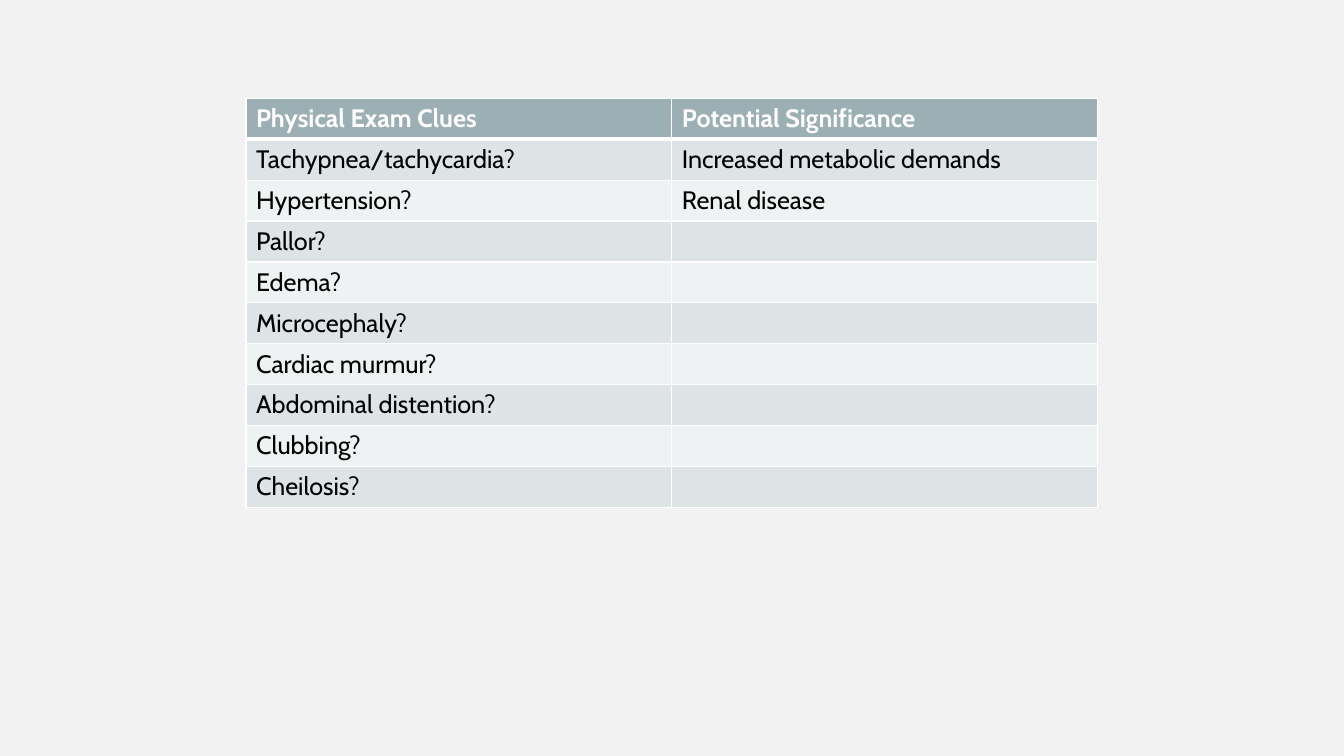
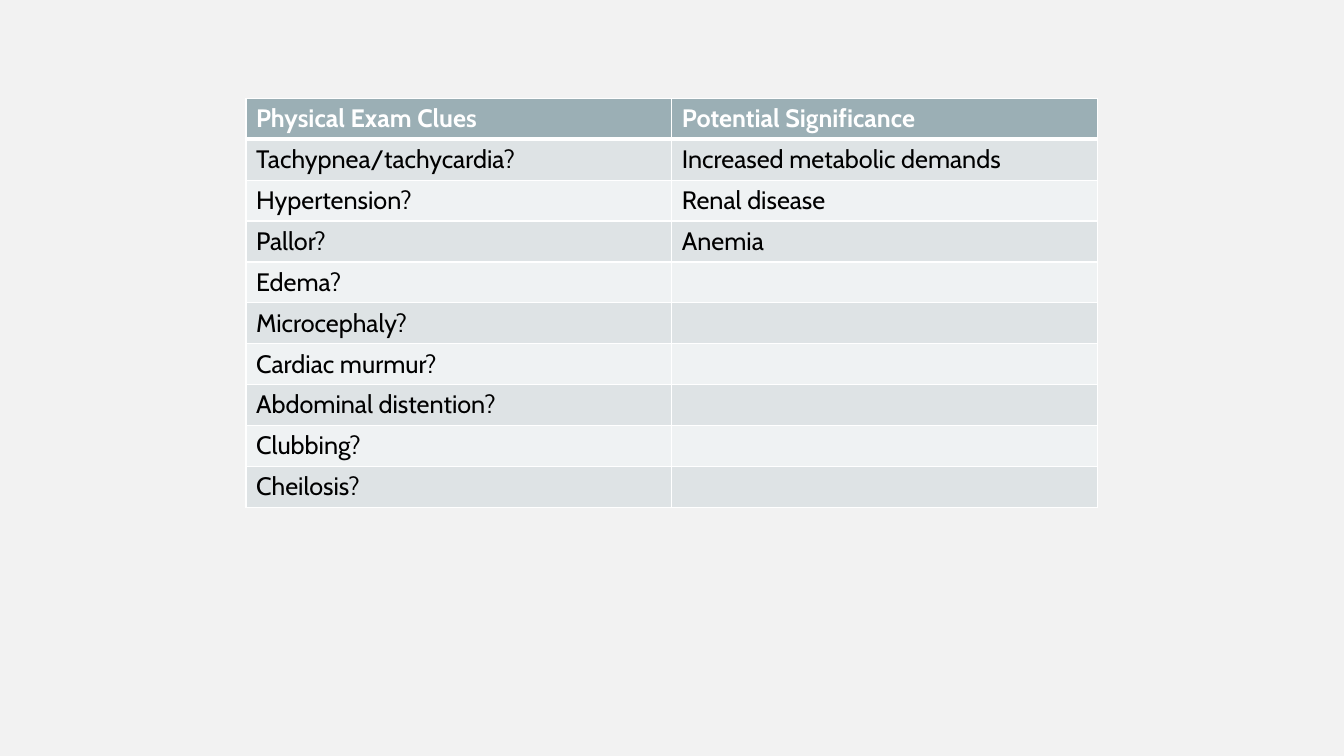
from dataclasses import dataclass

from lxml.etree import SubElement as Sub
from pptx import Presentation as Deck
from pptx.dml.color import RGBColor as Rgb
from pptx.oxml.ns import qn
from pptx.slide import Slide
from pptx.table import _Cell as Cell
from pptx.util import Cm, Pt

WHITE = Rgb(0xFF, 0xFF, 0xFF)
BLACK = Rgb(0x00, 0x00, 0x00)
PAPER = Rgb(0xF2, 0xF2, 0xF2)
SLATE = Rgb(0x9B, 0xAF, 0xB5)
MIST = Rgb(0xDE, 0xE3, 0xE5)
PALE = Rgb(0xEF, 0xF2, 0xF3)

LEFT, TOP = Cm(6.2), Cm(2.48)
WIDE, HIGH = Cm(10.73), Cm(1.03)
THIN, THICK = Pt(1), Pt(3)
BASE = {"name": "Cabin", "size": Pt(18)}


@dataclass(frozen=True)
class Look:
    fill: Rgb
    font: dict
    top: int = THIN
    base: int = THIN


@dataclass(frozen=True)
class Clue:
    sign: str
    cause: str = ""


BODY = {**BASE, "bold": False}
HEAD = Look(SLATE, {**BASE, "bold": True}, base=THICK)
FIRST = Look(MIST, BODY, top=THICK)
ODD = Look(MIST, BODY)
EVEN = Look(PALE, BODY)

TITLE = Clue("Physical Exam Clues", "Potential Significance")
CLUES = [
    Clue("Tachypnea/tachycardia?", "Increased metabolic demands"),
    Clue("Hypertension?", "Renal disease"),
    Clue("Pallor?", "Anemia"),
    Clue("Edema?"),
    Clue("Microcephaly?"),
    Clue("Cardiac murmur?"),
    Clue("Abdominal distention?"),
    Clue("Clubbing?"),
    Clue("Cheilosis?"),
]
SHOWN = (2, 3)


def pick(row: int) -> Look:
    if row < 2:
        return (HEAD, FIRST)[row]
    return ODD if row % 2 else EVEN


def edge(cell: Cell, look: Look) -> None:
    props = cell._tc.get_or_add_tcPr()
    sides = {"lnL": THIN, "lnR": THIN, "lnT": look.top, "lnB": look.base}
    for side, width in sides.items():
        line = Sub(props, qn(f"a:{side}"), w=str(int(width)))
        fill = Sub(line, qn("a:solidFill"))
        Sub(fill, qn("a:srgbClr"), val=str(WHITE))


def paint(cell: Cell, text: str, look: Look) -> None:
    edge(cell, look)
    cell.fill.solid()
    cell.fill.fore_color.rgb = look.fill
    if not text:
        return
    run = cell.text_frame.paragraphs[0].add_run()
    run.text = text
    for key, value in look.font.items():
        setattr(run.font, key, value)
    run.font.color.rgb = WHITE if look is HEAD else BLACK


def draw(slide: Slide, shown: int) -> None:
    rows = [TITLE, *CLUES]
    frame = slide.shapes.add_table(
        len(rows), 2, LEFT, TOP, 2 * WIDE, len(rows) * HIGH
    )
    grid = frame.table
    for col in grid.columns:
        col.width = WIDE
    for row, clue in enumerate(rows):
        grid.rows[row].height = HIGH
        cause = clue.cause if row <= shown else ""
        for col, text in enumerate((clue.sign, cause)):
            paint(grid.cell(row, col), text, pick(row))


def main() -> None:
    deck = Deck()
    deck.slide_width, deck.slide_height = Cm(33.87), Cm(19.05)
    back = deck.slide_master.background.fill
    back.solid()
    back.fore_color.rgb = PAPER
    for shown in SHOWN:
        draw(deck.slides.add_slide(deck.slide_layouts[6]), shown)
    deck.save("out.pptx")


if __name__ == "__main__":
    main()
